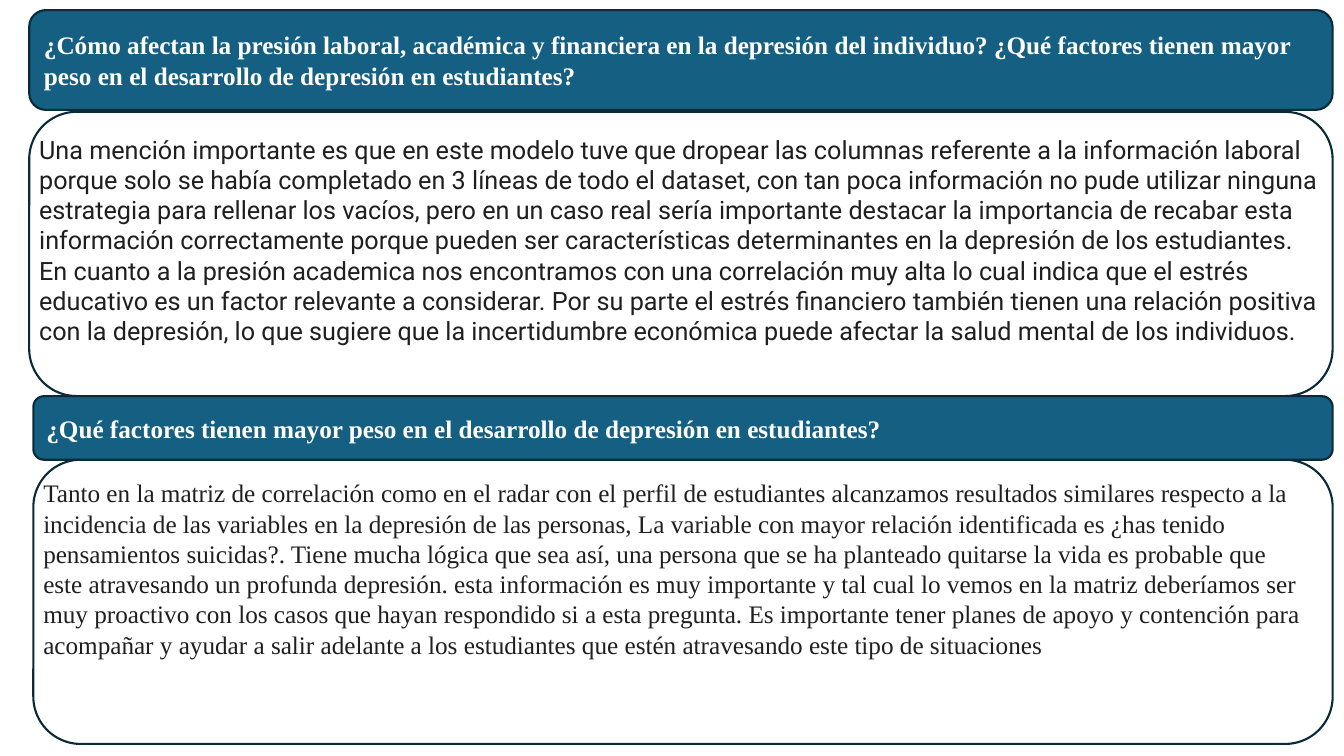
import pptx
import pptx.dml.color
import pptx.enum.shapes
import pptx.enum.text
import pptx.util

Pt = pptx.util.Pt

HEADING_FORMAT = {"name": "Times New Roman", "size": Pt(18), "bold": True}
ROBOTO_FORMAT = {"name": "Roboto", "size": Pt(18)}
TIMES_FORMAT = {"name": "Times New Roman", "size": Pt(18)}
HEADING_FILL, OUTLINE = "156082", "092A39"
HEADING_TEXT, ANSWER_TEXT = "FFFFFF", "1F1F1F"
ANSWER_HEIGHT = 203

SECTIONS = [
    {
        "box": (20.9, 7.2, 931, 71.3),
        "gap": 1.4,
        "question": "¿Cómo afectan la presión laboral, académica y financiera en la depresión del individuo? "
                    "¿Qué factores tienen mayor peso en el desarrollo de depresión en estudiantes?",
        "answer": [
            "Una mención importante es que en este modelo tuve que dropear las columnas referente a la "
            "información laboral porque solo se había completado en 3 líneas de todo el dataset, con tan poca "
            "información no pude utilizar ninguna estrategia para rellenar los vacíos, pero en un caso real "
            "sería importante destacar la importancia de recabar esta información correctamente porque pueden "
            "ser características determinantes en la depresión de los estudiantes.",
            "En cuanto a la presión academica nos encontramos con una correlación muy alta lo cual indica que "
            "el estrés educativo es un factor relevante a considerar. Por su parte el estrés financiero también "
            "tienen una relación positiva con la depresión, lo que sugiere que la incertidumbre económica puede "
            "afectar la salud mental de los individuos.",
        ],
        "format": ROBOTO_FORMAT,
        "text_inset": 12.2,
        "text_size": (928, 181.4),
    },
    {
        "box": (23.8, 283, 928.1, 45.4),
        "gap": 0,
        "question": "¿Qué factores tienen mayor peso en el desarrollo de depresión en estudiantes?",
        "answer": [
            "Tanto en la matriz de correlación como en el radar con el perfil de estudiantes alcanzamos "
            "resultados similares respecto a la incidencia de las variables en la depresión de las personas, "
            "La variable con mayor relación identificada es ¿has tenido pensamientos suicidas?. Tiene mucha "
            "lógica que sea así, una persona que se ha planteado quitarse la vida es probable que este "
            "atravesando un profunda depresión. esta información es muy importante y tal cual lo vemos en la "
            "matriz deberíamos ser muy proactivo con los casos que hayan respondido si a esta pregunta. Es "
            "importante tener planes de apoyo y contención para acompañar y ayudar a salir adelante a los "
            "estudiantes que estén atravesando este tipo de situaciones",
        ],
        "format": TIMES_FORMAT,
        "text_inset": 9.3,
        "text_size": (913, 138.2),
    },
]


def color(hex_string):
    return pptx.dml.color.RGBColor.from_string(hex_string)


def add_panel(slide, box, fill=None):
    """Add an outlined rounded rectangle, hollow unless a fill is given."""
    panel = slide.shapes.add_shape(
        pptx.enum.shapes.MSO_SHAPE.ROUNDED_RECTANGLE, *map(Pt, box))
    panel.shadow.inherit = False
    panel.line.color.rgb = color(OUTLINE)
    panel.line.width = Pt(1.5)
    if fill:
        panel.fill.solid()
        panel.fill.fore_color.rgb = color(fill)
    else:
        panel.fill.background()
    return panel


def write_text(frame, paragraphs, text_format, text_color):
    frame.word_wrap = True
    for index, text in enumerate(paragraphs):
        para = frame.add_paragraph() if index else frame.paragraphs[0]
        para.alignment = pptx.enum.text.PP_ALIGN.LEFT
        span = para.add_run()
        span.text = text
        for attribute, value in text_format.items():
            setattr(span.font, attribute, value)
        span.font.color.rgb = color(text_color)


def add_section(slide, section):
    """Place a question heading with its answer panel directly below."""
    left, top, width, height = section["box"]
    answer_top = top + height + section["gap"]

    add_panel(slide, (left, answer_top, width, ANSWER_HEIGHT))
    text_box = slide.shapes.add_textbox(
        *map(Pt, (left, answer_top + section["text_inset"], *section["text_size"])))
    write_text(text_box.text_frame, section["answer"], section["format"], ANSWER_TEXT)

    heading = add_panel(slide, section["box"], HEADING_FILL)
    heading.text_frame.vertical_anchor = pptx.enum.text.MSO_ANCHOR.MIDDLE
    write_text(heading.text_frame, [section["question"]], HEADING_FORMAT, HEADING_TEXT)


def main():
    deck = pptx.Presentation()
    deck.slide_width, deck.slide_height = Pt(960), Pt(540)
    slide = deck.slides.add_slide(deck.slide_layouts[6])
    for section in SECTIONS:
        add_section(slide, section)
    deck.save("out.pptx")


if __name__ == "__main__":
    main()
